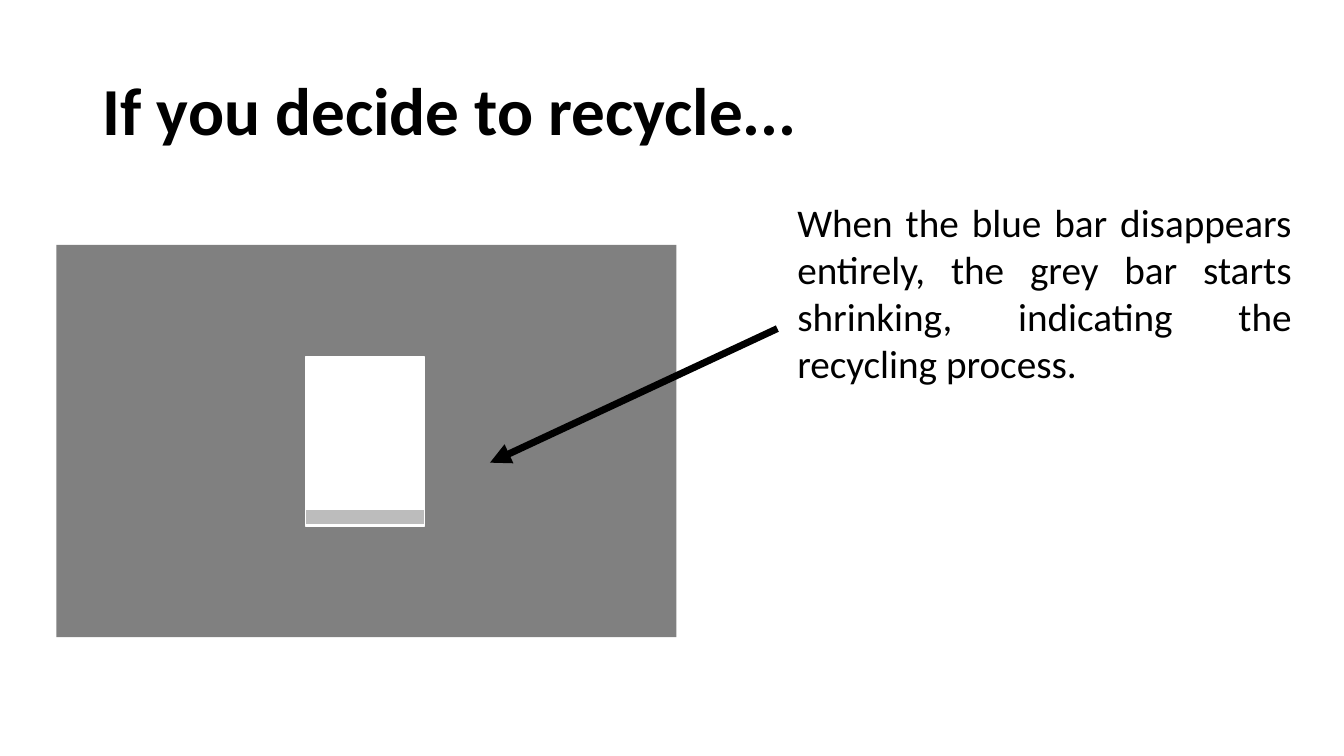
from dataclasses import dataclass
from typing import Any, Optional

import pptx
import pptx.dml.color
import pptx.enum.shapes
import pptx.enum.text
import pptx.oxml
import pptx.oxml.ns
import pptx.util

Inches = pptx.util.Inches
Pt = pptx.util.Pt
RGBColor = pptx.dml.color.RGBColor
MSO_ANCHOR = pptx.enum.text.MSO_ANCHOR
PP_ALIGN = pptx.enum.text.PP_ALIGN

BLACK = RGBColor(0x00, 0x00, 0x00)
WHITE = RGBColor(0xFF, 0xFF, 0xFF)
SCREEN_GREY = RGBColor(0x80, 0x80, 0x80)
BAR_GREY = RGBColor(0xBC, 0xBC, 0xBC)
FONT = "Calibri"


@dataclass(frozen=True)
class Label:
    text: str
    left: float
    top: float
    width: float
    height: float
    size: int
    bold: bool
    anchor: Any
    align: Any
    spacing: float


@dataclass(frozen=True)
class Box:
    left: float
    top: float
    width: float
    height: float
    fill: RGBColor
    line: Optional[RGBColor]


LABELS = (
    Label("If you decide to recycle...", 0.92, 0.4, 11.5, 1.45, 48, True,
          MSO_ANCHOR.MIDDLE, PP_ALIGN.LEFT, 0.9),
    Label("When the blue bar disappears entirely, the grey bar starts shrinking, "
          "indicating the recycling process.", 7.81, 1.92, 5.1, 1.99, 28, False,
          MSO_ANCHOR.TOP, PP_ALIGN.JUSTIFY, 1.0),
)

BOXES = (
    Box(0.56, 2.43, 6.15, 3.89, SCREEN_GREY, None),
    Box(3.03, 3.54, 1.18, 1.68, WHITE, WHITE),
    Box(3.03, 5.05, 1.18, 0.16, BAR_GREY, WHITE),
)


def add_label(s: Any, label: Label) -> None:
    sp = s.shapes.add_textbox(Inches(label.left), Inches(label.top),
                              Inches(label.width), Inches(label.height))
    tf = sp.text_frame
    tf.word_wrap = True
    tf.vertical_anchor = label.anchor
    p = tf.paragraphs[0]
    p.text = label.text
    p.alignment = label.align
    p.line_spacing = label.spacing
    r = p.runs[0]
    r.font.name = FONT
    r.font.size = Pt(label.size)
    r.font.bold = label.bold
    r.font.color.rgb = BLACK


def add_box(shapes: Any, box: Box) -> None:
    sp = shapes.add_shape(pptx.enum.shapes.MSO_SHAPE.RECTANGLE, Inches(box.left),
                          Inches(box.top), Inches(box.width), Inches(box.height))
    sp.shadow.inherit = False
    sp.fill.solid()
    sp.fill.fore_color.rgb = box.fill
    if box.line is None:
        sp.line.fill.background()
    else:
        sp.line.color.rgb = box.line
        sp.line.width = Pt(1)


def add_arrow(s: Any, x1: float, y1: float, x2: float, y2: float) -> None:
    arrow = s.shapes.add_connector(pptx.enum.shapes.MSO_CONNECTOR.STRAIGHT,
                                   Inches(x1), Inches(y1), Inches(x2), Inches(y2))
    arrow.line.color.rgb = BLACK
    arrow.line.width = Pt(5)
    ns = pptx.oxml.ns.nsdecls("a")
    arrow.line._get_or_add_ln().append(
        pptx.oxml.parse_xml(f'<a:tailEnd {ns} type="triangle"/>'))
    arrow._element.spPr.append(pptx.oxml.parse_xml(f"<a:effectLst {ns}/>"))


def main() -> None:
    prs = pptx.Presentation()
    prs.slide_width = Inches(13.33)
    prs.slide_height = Inches(7.5)
    s = prs.slides.add_slide(prs.slide_layouts[6])
    for label in LABELS:
        add_label(s, label)
    screen = s.shapes.add_group_shape()
    for box in BOXES:
        add_box(screen.shapes, box)
    add_arrow(s, 7.71, 3.26, 4.86, 4.59)
    prs.save("out.pptx")


if __name__ == "__main__":
    main()
